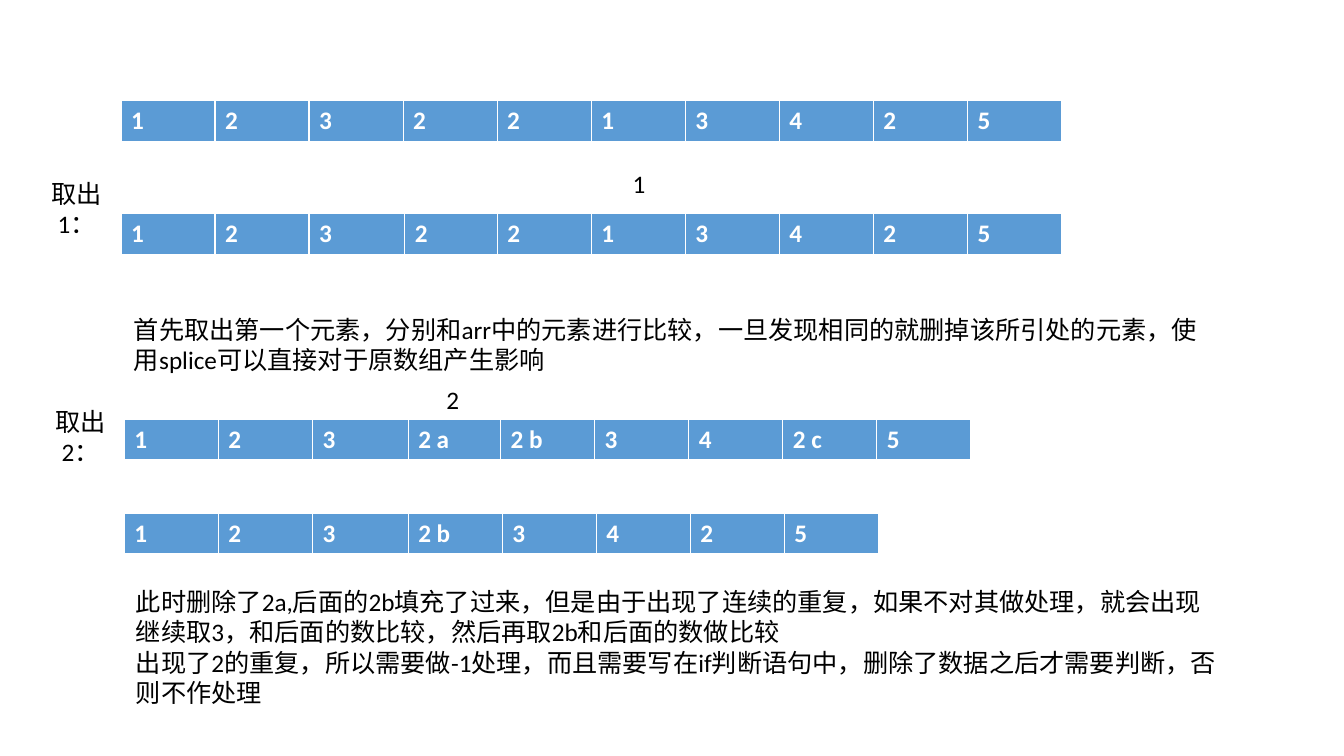
from dataclasses import dataclass

from lxml.etree import SubElement
from pptx import Presentation
from pptx.dml.color import RGBColor as Rgb
from pptx.enum.lang import MSO_LANGUAGE_ID as Lang
from pptx.enum.text import MSO_AUTO_SIZE as AutoSize, PP_ALIGN as Align
from pptx.oxml.ns import qn
from pptx.util import Pt


@dataclass(frozen=True)
class Theme:
    """Colours, fonts and sizes shared by the whole slide."""
    cell: str = "5B9BD5"
    paper: str = "FFFFFF"
    ink: str = "000000"
    latin: str = "Calibri"
    chinese: str = "Noto Sans CJK SC"
    body: float = 18
    thin: float = 1
    thick: float = 3


THEME = Theme()
ROW_HEIGHT = 30
CELL_WIDTH = 67.2
LABEL_SIZE = (62, 28.8)

ARRAYS = [
    (86.4, 72, "1 2 3 2 2 1 3 4 2 5".split(), {}),
    (86.4, 152.8, "1 2 3 2 2 1 3 4 2 5".split(), {2: 68.4, 3: 66}),
    (88.8, 299.5, ["1", "2", "3", "2 a", "2 b", "3", "4", "2 c", "5"], {2: 68.4, 3: 66}),
    (88.8, 366.5, ["1", "2", "3", "2 b", "3", "4", "2", "5"], {2: 68.4}),
]
LABELS = [
    (23.8, 123.8, "取出1："),
    (425.5, 116.6, "1"),
    (26.6, 286.6, "取出2："),
    (292.3, 270.7, "2"),
]
EXPLANATIONS = [
    (88.6, 221, 790, 51, [
        "首先取出第一个元素，分别和arr中的元素进行比较，一旦发现相同的就删掉该所引处的元素，"
        "使用splice可以直接对于原数组产生影响",
    ]),
    (90, 415.4, 789, 94.3, [
        "此时删除了2a,后面的2b填充了过来，但是由于出现了连续的重复，如果不对其做处理，就会出现",
        "继续取3，和后面的数比较，然后再取2b和后面的数做比较",
        "出现了2的重复，所以需要做-1处理，而且需要写在if判断语句中，"
        "删除了数据之后才需要判断，否则不作处理",
    ]),
]


def add_run(paragraph, wording, color, bold=False):
    """Append a run in the theme's Latin and Chinese fonts."""
    run = paragraph.add_run()
    run.text = wording
    font = run.font
    font.size, font.bold, font.name = Pt(THEME.body), bold, THEME.latin
    font.color.rgb = Rgb.from_string(color)
    font.language_id = Lang.SIMPLIFIED_CHINESE
    SubElement(run._r.get_or_add_rPr(), qn("a:ea"), typeface=THEME.chinese)


def add_border(cell, side, width):
    """Draw one side of a cell in the paper colour."""
    line = SubElement(cell._tc.get_or_add_tcPr(), qn(f"a:ln{side}"), w=str(Pt(width)))
    fill = SubElement(line, qn("a:solidFill"))
    SubElement(fill, qn("a:srgbClr"), val=THEME.paper)


def add_array(slide, left, top, elements, special_widths):
    """Add an array as a one-row table."""
    widths = [special_widths.get(i, CELL_WIDTH) for i in range(len(elements))]
    table = slide.shapes.add_table(1, len(elements), Pt(left), Pt(top),
                                   Pt(sum(widths)), Pt(ROW_HEIGHT)).table
    for index, (element, width) in enumerate(zip(elements, widths)):
        table.columns[index].width = Pt(width)
        cell = table.cell(0, index)
        for side in "LRTB":
            add_border(cell, side, THEME.thick if side == "B" else THEME.thin)
        cell.fill.solid()
        cell.fill.fore_color.rgb = Rgb.from_string(THEME.cell)
        add_run(cell.text_frame.paragraphs[0], element, THEME.paper, bold=True)


def add_text(slide, left, top, width, height, lines, align=Align.LEFT):
    """Add a wrapping text box with one paragraph per line."""
    frame = slide.shapes.add_textbox(Pt(left), Pt(top), Pt(width), Pt(height)).text_frame
    frame.word_wrap = True
    frame.auto_size = AutoSize.SHAPE_TO_FIT_TEXT
    for index, wording in enumerate(lines):
        paragraph = frame.add_paragraph() if index else frame.paragraphs[0]
        paragraph.alignment = align
        add_run(paragraph, wording, THEME.ink)


def main():
    """Build the array walkthrough slide and save it."""
    deck = Presentation()
    deck.slide_width, deck.slide_height = Pt(960), Pt(540)
    slide = deck.slides.add_slide(deck.slide_layouts[6])
    for array in ARRAYS:
        add_array(slide, *array)
    for left, top, wording in LABELS:
        add_text(slide, left, top, *LABEL_SIZE, [wording], Align.CENTER)
    for explanation in EXPLANATIONS:
        add_text(slide, *explanation)
    deck.save("out.pptx")


main()
